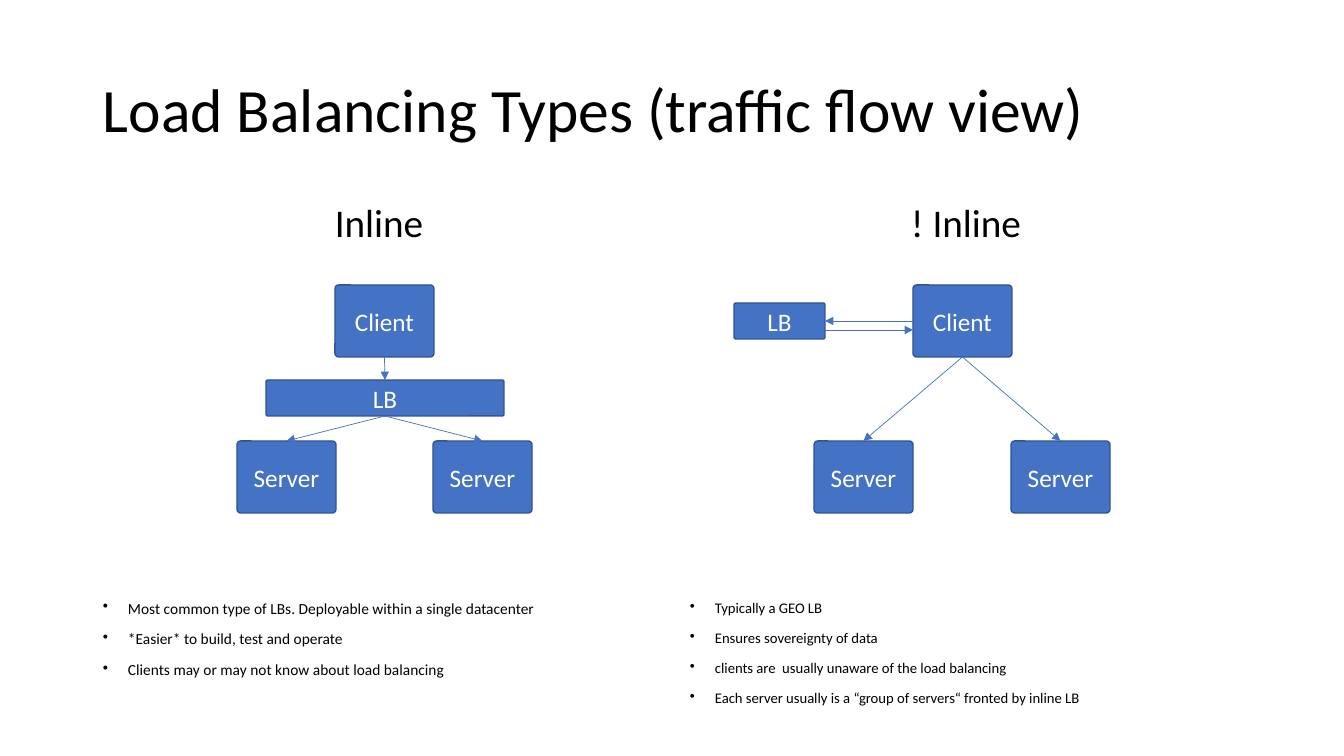
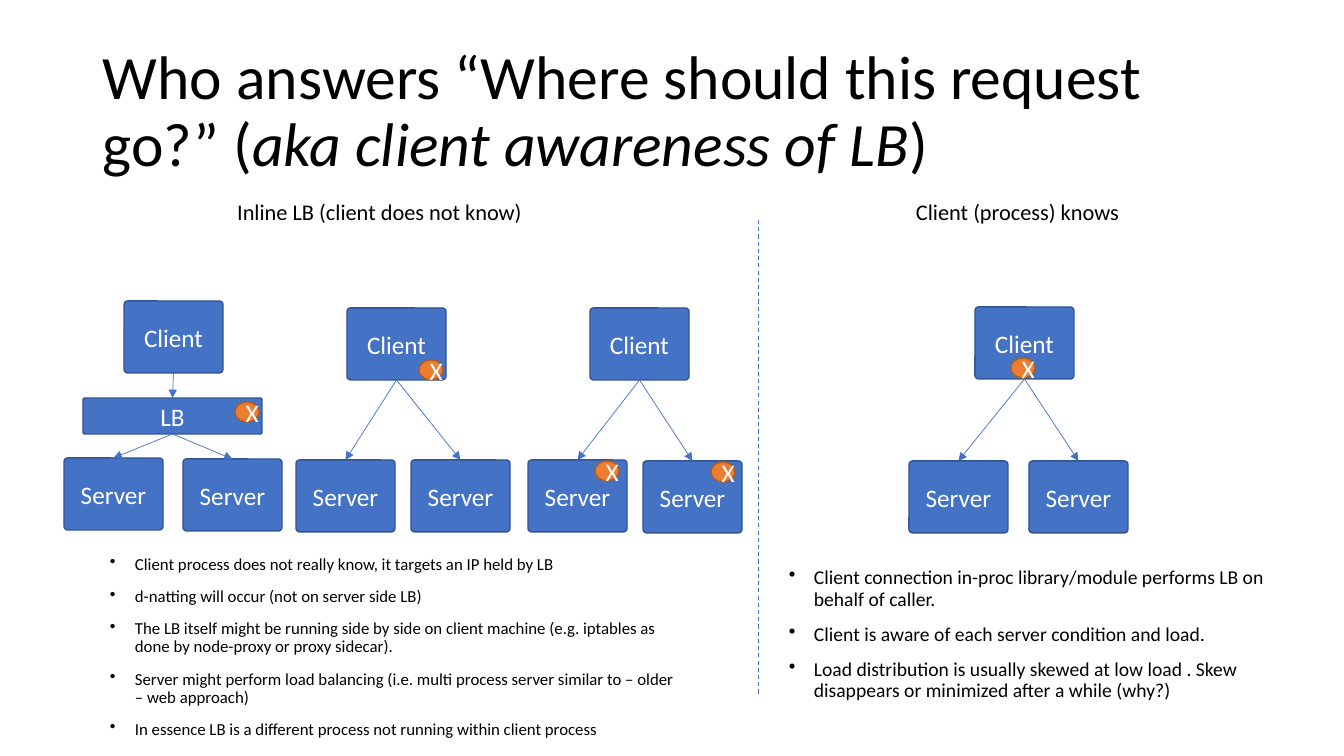
import pptx
import pptx.dml.color
import pptx.enum.dml
import pptx.enum.shapes
import pptx.enum.text
import pptx.oxml
import pptx.oxml.ns
import pptx.util

# Shared scale, colours and sizes (lengths in px, 100.8 px to the inch)
SCALE = 914400 / 100.8
FONT = "Calibri"
BLACK, WHITE = "000000", "FFFFFF"
BLUE, DARK_BLUE = "4472C4", "325491"
ORANGE, DARK_ORANGE = "ED7D31", "AF5C24"
TITLE_BOX = (93, 40, 1159, 146)
NODE = (99, 72)
MARK = (24, 20)
LB_HEIGHT = 36
INDENT = 25
TOP, LEFT, BOTTOM, RIGHT = range(4)

SHAPES = pptx.enum.shapes.MSO_SHAPE
CENTER = pptx.enum.text.PP_ALIGN.CENTER
MIDDLE = pptx.enum.text.MSO_ANCHOR.MIDDLE
rgb = pptx.dml.color.RGBColor.from_string


def add_text(slide, box, paragraphs, size, spacing=0.9, before=10, align=None, bullets=False):
    """Each paragraph is a list of parts; every second part is italic."""
    frame = slide.shapes.add_textbox(*[round(v * SCALE) for v in box]).text_frame
    frame.word_wrap = True
    for number, parts in enumerate(paragraphs):
        paragraph = frame.add_paragraph() if number else frame.paragraphs[0]
        paragraph.text = parts[0]
        for part in parts[1:]:
            paragraph.add_run().text = part
        paragraph.alignment = align
        paragraph.line_spacing = spacing
        paragraph.space_before = pptx.util.Pt(before)
        for index, run in enumerate(paragraph.runs):
            run.font.name = FONT
            run.font.size = pptx.util.Pt(size)
            run.font.color.rgb = rgb(BLACK)
            run.font.italic = index % 2 == 1
        if bullets:
            properties = paragraph._p.get_or_add_pPr()
            properties.set("marL", str(round(INDENT * SCALE)))
            properties.set("indent", str(round(-INDENT * SCALE)))
            bullet = pptx.oxml.parse_xml(
                f'<a:buChar {pptx.oxml.ns.nsdecls("a")} char="•"/>')
            properties.append(bullet)
    return frame


def add_node(slide, label, box, kind=SHAPES.ROUNDED_RECTANGLE, fill=BLUE, outline=DARK_BLUE):
    node = slide.shapes.add_shape(kind, *[round(v * SCALE) for v in box])
    if kind == SHAPES.ROUNDED_RECTANGLE:
        node.adjustments[0] = 0.05
    node.shadow.inherit = False
    node.fill.solid()
    node.fill.fore_color.rgb = rgb(fill)
    node.line.color.rgb = rgb(outline)
    node.line.width = pptx.util.Pt(1)
    node.text_frame.text = label
    node.text_frame.vertical_anchor = MIDDLE
    paragraph = node.text_frame.paragraphs[0]
    paragraph.alignment = CENTER
    font = paragraph.runs[0].font
    font.name = FONT
    font.size = pptx.util.Pt(18)
    font.color.rgb = rgb(WHITE)
    return node


# Content: clusters are (client, inline LB with its width or None, servers)
pages = [
    {
        "title": ["Load Balancing Types (traffic flow view)"],
        "heading_style": (28, 0.8),
        "headings": [
            ((93, 202, 572, 52), "Inline"),
            ((680, 202, 572, 52), "! Inline"),
        ],
        "bullets": [
            ((93, 596, 572, 105), 11, [
                "Most common type of LBs. Deployable within a single datacenter",
                "*Easier* to build, test and operate",
                "Clients may or may not know about load balancing",
            ]),
            ((680, 596, 572, 112), 10.5, [
                "Typically a GEO LB",
                "Ensures sovereignty of data",
                "clients are  usually unaware of the load balancing",
                "Each server usually is a “group of servers“ fronted by inline LB",
            ]),
        ],
        "clusters": [
            ((335, 285), (266, 380, 238), [(237, 441), (433, 441)]),
            ((913, 285), None, [(814, 441), (1011, 441)]),
        ],
        "side_lb": (734, 303, 91),
        "marks": [],
        "divider": None,
    },
    {
        "title": ["Who answers “Where should this request go?” (",
                  "aka client awareness of LB", ")"],
        "heading_style": (16, 0.9),
        "headings": [
            ((156, 196, 447, 48), "Inline LB (client does not know)"),
            ((794, 196, 447, 48), "Client (process) knows"),
        ],
        "bullets": [
            ((100, 551, 587, 192), 12, [
                "Client process does not really know, it targets an IP held by LB",
                "d-natting will occur (not on server side LB)",
                "The LB itself might be running side by side on client machine "
                "(e.g. iptables as done by node-proxy or proxy sidecar).",
                "Server might perform load balancing (i.e. multi process server "
                "similar to – older – web approach)",
                "In essence LB is a different process not running within client process",
            ]),
            ((779, 563, 546, 160), 14, [
                "Client connection in-proc library/module performs LB on behalf of caller.",
                "Client is aware of each server condition and load.",
                "Load distribution is usually skewed at low load . "
                "Skew disappears or minimized after a while (why?)",
            ]),
        ],
        "clusters": [
            ((124, 301), (83, 398, 179), [(64, 458), (183, 459)]),
            ((347, 308), None, [(296, 460), (411, 460)]),
            ((590, 308), None, [(528, 460), (643, 461)]),
            ((975, 307), None, [(909, 461), (1029, 461)]),
        ],
        "side_lb": None,
        "marks": [(235, 402), (419, 360), (595, 461), (711, 462), (1011, 358)],
        "divider": ((759, 220), (759, 695)),
    },
]

deck = pptx.Presentation()
deck.slide_width = round(1344 * SCALE)
deck.slide_height = round(756 * SCALE)

for page in pages:
    slide = deck.slides.add_slide(deck.slide_layouts[6])

    # Title, headings and bullet lists
    title = add_text(slide, TITLE_BOX, [page["title"]], 44, before=0)
    title.vertical_anchor = MIDDLE
    heading_size, heading_spacing = page["heading_style"]
    for box, heading in page["headings"]:
        add_text(slide, box, [[heading]], heading_size, heading_spacing, align=CENTER)
    for box, size, points in page["bullets"]:
        add_text(slide, box, [[point] for point in points], size, bullets=True)

    # Clients, load balancers and servers; joints are (node, side)
    joined_arrows, free_lines = [], []
    for client_at, lb_at, servers_at in page["clusters"]:
        client = source = add_node(slide, "Client", client_at + NODE)
        if lb_at:
            source = add_node(slide, "LB", lb_at + (LB_HEIGHT,))
            joined_arrows.append(((client, BOTTOM), (source, TOP)))
        for server_at in servers_at:
            server = add_node(slide, "Server", server_at + NODE)
            joined_arrows.append(((source, BOTTOM), (server, TOP)))

    # Load balancer beside the last client, with the reply arrow below
    if page["side_lb"]:
        side_lb = add_node(slide, "LB", page["side_lb"] + (LB_HEIGHT,))
        joined_arrows.append(((client, LEFT), (side_lb, RIGHT)))
        lb_left, lb_top, lb_width = page["side_lb"]
        reply_y = lb_top + 27
        free_lines.append(((lb_left + lb_width, reply_y), (client_at[0], reply_y), True))
    if page["divider"]:
        free_lines.append(page["divider"] + (False,))

    # Arrows and divider
    lines = []
    for start, end in joined_arrows:
        line = slide.shapes.add_connector(pptx.enum.shapes.MSO_CONNECTOR.STRAIGHT, 0, 0, 0, 0)
        line.begin_connect(*start)
        line.end_connect(*end)
        lines.append((line, True))
    for start, end, is_arrow in free_lines:
        line = slide.shapes.add_connector(
            pptx.enum.shapes.MSO_CONNECTOR.STRAIGHT,
            *[round(v * SCALE) for v in start + end])
        lines.append((line, is_arrow))
    for line, is_arrow in lines:
        line.line.color.rgb = rgb(BLUE)
        line.line.width = pptx.util.Pt(0.5 if is_arrow else 0.75)
        properties = line._element.spPr
        if is_arrow:
            properties.find(pptx.oxml.ns.qn("a:ln")).append(pptx.oxml.parse_xml(
                f'<a:tailEnd {pptx.oxml.ns.nsdecls("a")} type="triangle"/>'))
        else:
            line.line.dash_style = pptx.enum.dml.MSO_LINE.DASH
        properties.append(pptx.oxml.parse_xml(
            f'<a:effectLst {pptx.oxml.ns.nsdecls("a")}/>'))

    # Marks on whoever takes the decision
    for mark_at in page["marks"]:
        add_node(slide, "X", mark_at + MARK, SHAPES.OVAL, ORANGE, DARK_ORANGE)

deck.save("out.pptx")
